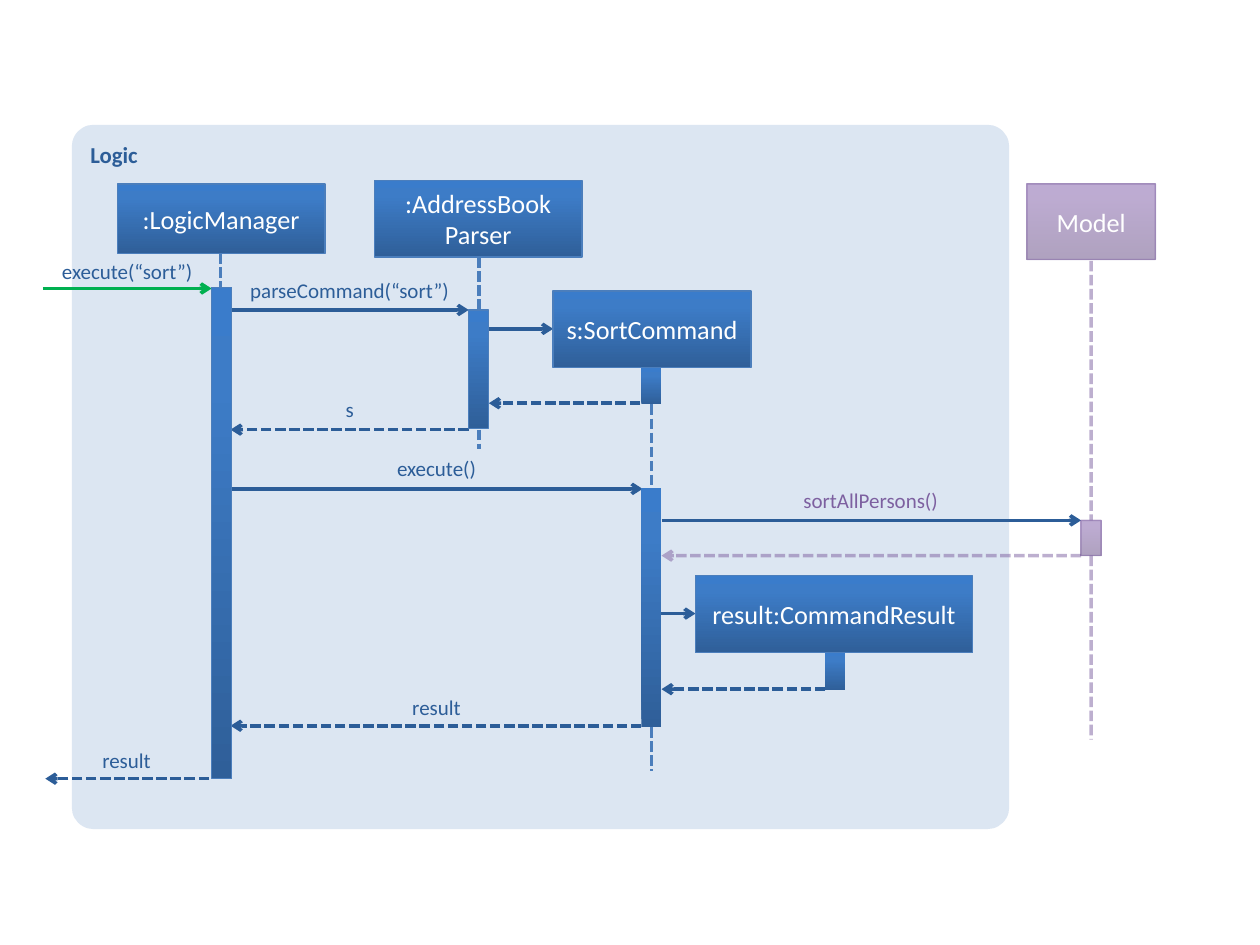
from lxml.etree import SubElement
from pptx import Presentation
from pptx.dml.color import RGBColor
from pptx.enum.shapes import MSO_CONNECTOR as Link, MSO_SHAPE as Preset
from pptx.enum.text import MSO_ANCHOR as Anchor, PP_ALIGN as Align
from pptx.oxml.ns import qn
from pptx.util import Inches, Pt

color = RGBColor.from_string
BLUE, EDGE, PURPLE, GREEN, WHITE = "2C5D98", "4B7EBC", "7D60A0", "00B050", "FFFFFF"
BLUE_STOPS = ["2F5F99", "3D7CC7", "3A7CCB"]
PURPLE_STOPS = ["5F4480", "7B58A6", "7C57A8"]
BAR = 0.16

deck = Presentation()
deck.slide_width, deck.slide_height = Inches(10), Inches(7.5)
page = deck.slides.add_slide(deck.slide_layouts[6])


def add_line(x1, y1, x2, y2, tint=BLUE, dashed=False, arrow=True):
    line = page.shapes.add_connector(Link.STRAIGHT, *map(Inches, (x1, y1, x2, y2)))
    line.line.width = Pt(2)
    line.line.color.rgb = color(tint)
    outline = line.line._ln
    if tint == PURPLE:
        SubElement(next(outline.iter(qn("a:srgbClr"))), qn("a:alpha"), val="50000")
    if dashed:
        SubElement(outline, qn("a:prstDash"), val="sysDash")
    if arrow:
        SubElement(outline, qn("a:tailEnd"), type="arrow")
    SubElement(line._element.spPr, qn("a:effectLst"))


def add_text(box, text, **look):
    frame = box.text_frame
    frame.word_wrap = True
    for index, words in enumerate(text.split("\n")):
        para = frame.add_paragraph() if index else frame.paragraphs[0]
        para.alignment = Align.CENTER
        span = para.add_run()
        span.text = words
        tint = look.get("tint", BLUE)
        span.font.color.rgb = color(tint)
        font = {"name": "Calibri", "size": Pt(look.get("size", 12)), "bold": look.get("bold", False)}
        for name, value in font.items():
            setattr(span.font, name, value)


panel = page.shapes.add_shape(Preset.ROUNDED_RECTANGLE, *map(Inches, (0.57, 0.99, 7.44, 5.59)))
panel.adjustments[0] = 0.031
panel.shadow.inherit = False
panel.fill.solid()
panel.fill.fore_color.rgb = color("DCE6F2")
panel.line.fill.background()

lifelines = [
    (1.75, 2.01, 2.28, EDGE),
    (3.8, 2.04, 2.46, EDGE),
    (3.8, 3.41, 3.56, EDGE),
    (5.17, 3.21, 3.87, EDGE),
    (5.17, 5.77, 6.12, EDGE),
    (8.66, 2.07, 4.13, PURPLE),
    (8.66, 4.41, 5.87, PURPLE),
]
for x, top, bottom, tint in lifelines:
    add_line(x, top, x, bottom, tint, dashed=True, arrow=False)

messages = [
    (0.34, 1.68, 2.29, GREEN, False),
    (1.83, 3.72, 2.46, BLUE, False),
    (3.87, 4.39, 2.61, BLUE, False),
    (5.08, 3.88, 3.2, BLUE, True),
    (3.72, 1.83, 3.41, BLUE, True),
    (1.83, 5.1, 3.88, BLUE, False),
    (5.25, 8.58, 4.13, BLUE, False),
    (8.58, 5.25, 4.41, PURPLE, True),
    (5.17, 5.52, 4.87, BLUE, False),
    (6.55, 5.25, 5.47, BLUE, True),
    (5.09, 1.83, 5.76, BLUE, True),
    (1.66, 0.36, 6.18, BLUE, True),
]
for start, end, y, tint, dashed in messages:
    add_line(start, y, end, y, tint, dashed)

blocks = [
    (1.68, 2.28, BAR, 3.9, EDGE, ""),
    (0.93, 1.46, 1.65, 0.55, EDGE, ":LogicManager"),
    (3.72, 2.46, BAR, 0.94, EDGE, ""),
    (2.97, 1.43, 1.65, 0.61, EDGE, ":AddressBook\nParser"),
    (6.55, 5.18, BAR, 0.3, None, ""),
    (5.52, 4.57, 2.2, 0.61, EDGE, "result:CommandResult"),
    (8.15, 1.46, 1.02, 0.6, PURPLE, "Model"),
    (8.58, 4.13, BAR, 0.28, PURPLE, ""),
    (5.09, 2.92, BAR, 0.29, None, ""),
    (4.39, 2.31, 1.57, 0.61, EDGE, "s:SortCommand"),
    (5.09, 3.87, BAR, 1.9, None, ""),
]
for left, top, width, height, edge, text in blocks:
    block = page.shapes.add_shape(Preset.RECTANGLE, *map(Inches, (left, top, width, height)))
    block.shadow.inherit = False
    block.fill.gradient()
    block.fill.gradient_angle = 90
    stops = next(block._element.spPr.iter(qn("a:gsLst")))
    for stop in list(stops):
        stops.remove(stop)
    for position, tint in zip((0, 80, 100), PURPLE_STOPS if edge == PURPLE else BLUE_STOPS):
        stop = SubElement(stops, qn("a:gs"), pos=str(position * 1000))
        SubElement(stop, qn("a:srgbClr"), val=tint)
    if edge:
        block.line.width = Pt(0.75)
        block.line.color.rgb = color(edge)
    else:
        block.line.fill.background()
    if edge == PURPLE:
        for shade in list(block._element.spPr.iter(qn("a:srgbClr"))):
            SubElement(shade, qn("a:alpha"), val="50000")
    if text:
        block.text_frame.vertical_anchor = Anchor.MIDDLE
        add_text(block, text, size=15, tint=WHITE)

labels = [
    (0.36, 2, 1.3, "execute(“sort”)", {}),
    (1.87, 2.15, 1.81, "parseCommand(“sort”)", {}),
    (2.58, 3.1, 0.39, "s", {}),
    (3.03, 3.57, 0.87, "execute()", {}),
    (6.22, 3.82, 1.38, "sortAllPersons()", {"tint": PURPLE}),
    (3.03, 5.46, 0.87, "result", {}),
    (0.57, 5.88, 0.87, "result", {}),
    (0.57, 1.07, 0.67, "Logic", {"size": 13, "bold": True}),
]
for left, top, width, text, look in labels:
    label = page.shapes.add_textbox(*map(Inches, (left, top, width, 0.3)))
    add_text(label, text, **look)

deck.save("out.pptx")
